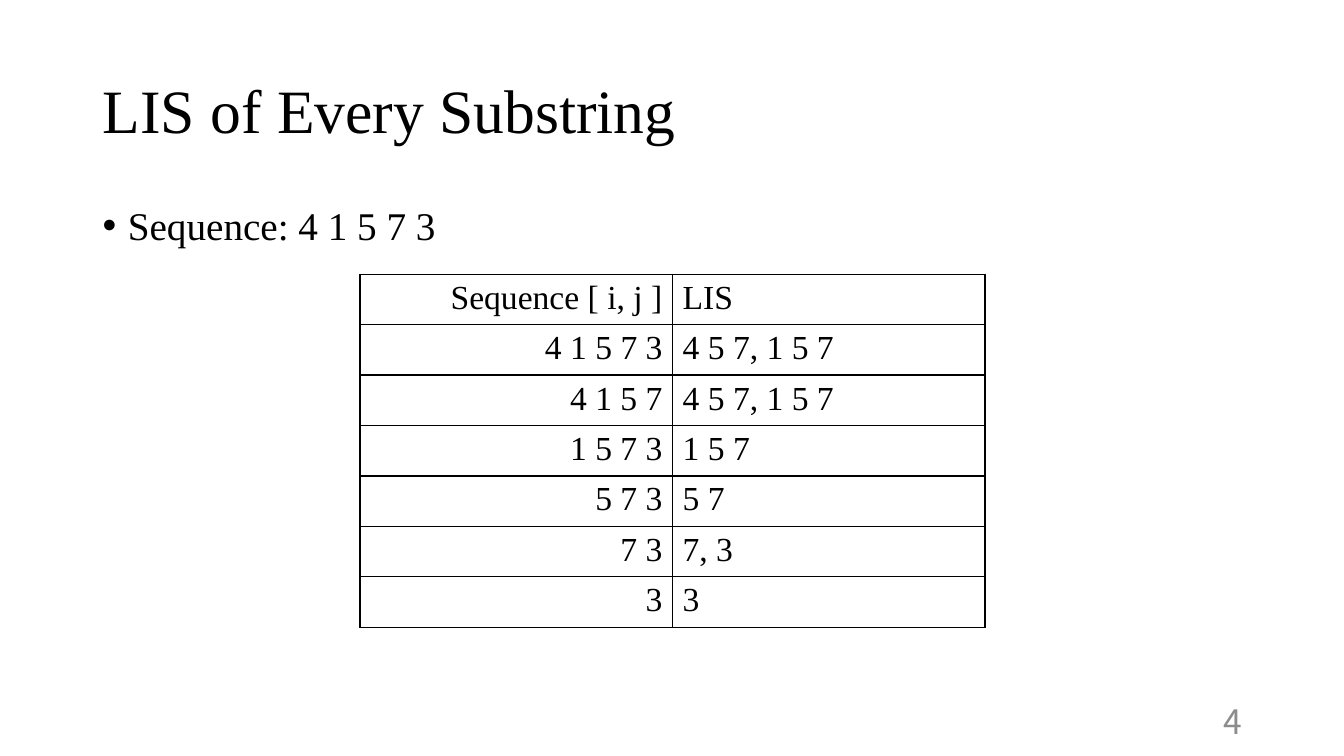
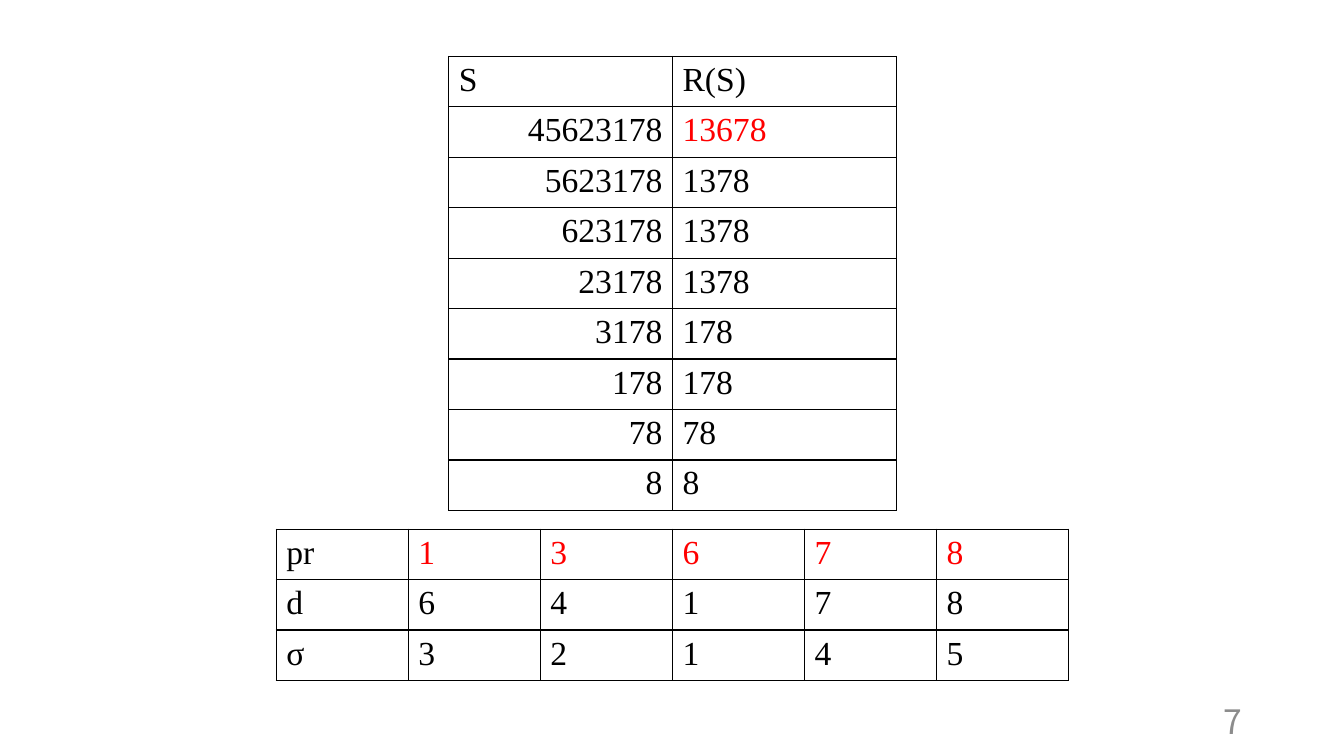
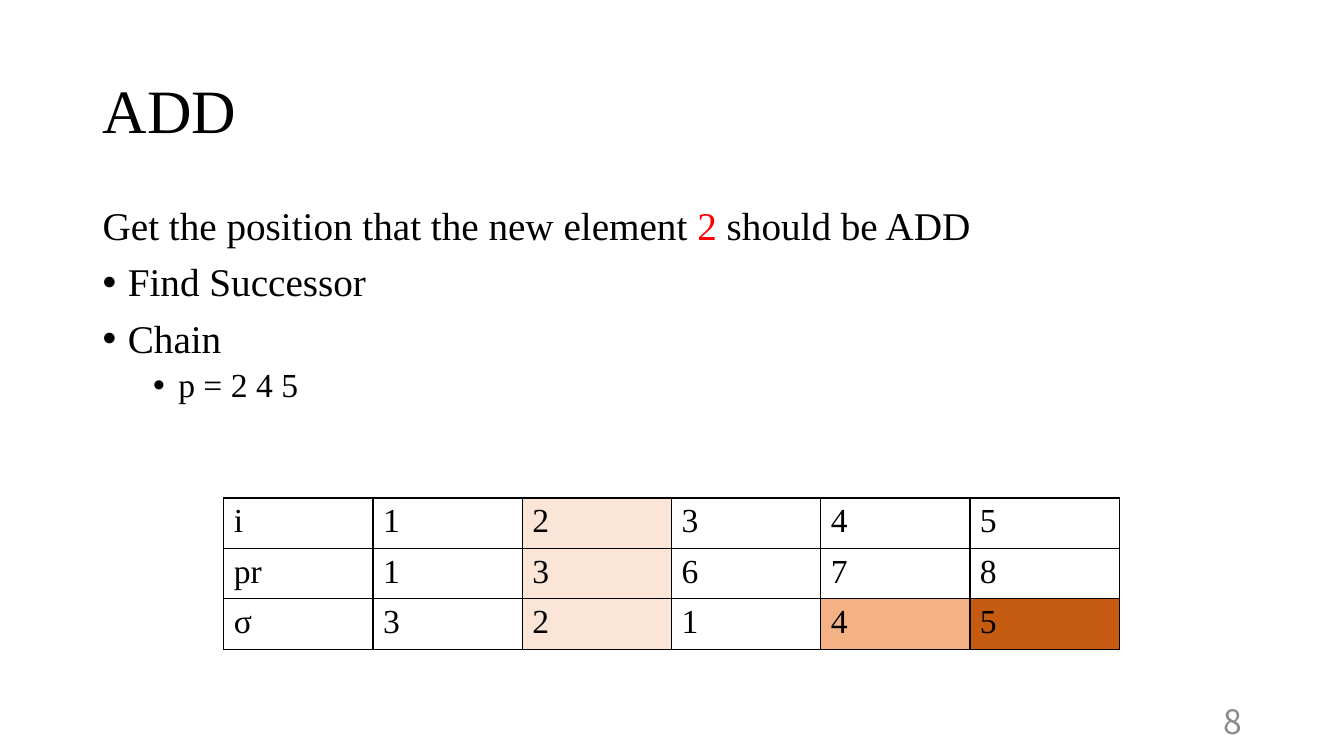
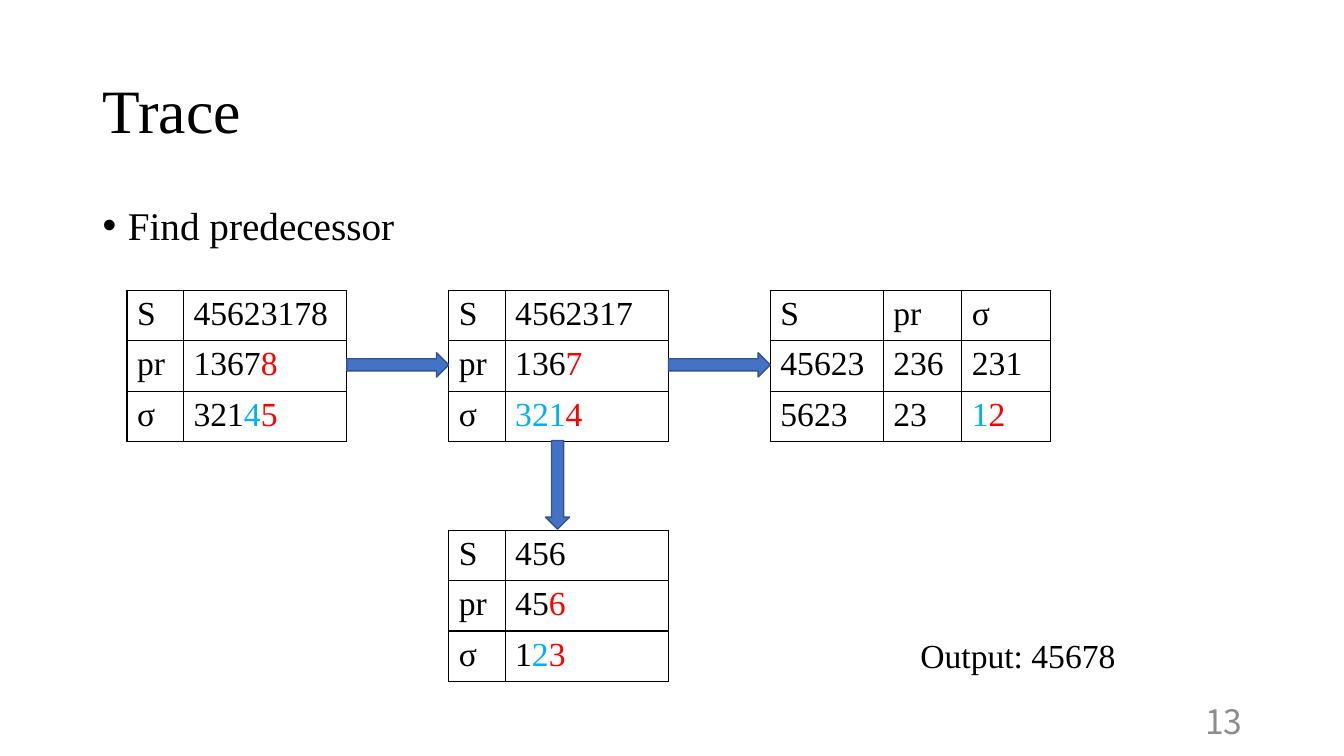
import pptx
import pptx.dml.color
import pptx.enum.shapes
import pptx.enum.text
import pptx.oxml
import pptx.oxml.ns
import pptx.util
from lxml import etree

Inches, Pt = pptx.util.Inches, pptx.util.Pt
ALIGN = pptx.enum.text.PP_ALIGN
ANCHOR = pptx.enum.text.MSO_ANCHOR
qn = pptx.oxml.ns.qn

THEME = {
    "serif": "Times New Roman",
    "sans": "Noto Sans CJK JP",
    "title": 44,
    "body": 28,
    "small": 24,
    "text": "000000",
    "number": "8C8C8C",
    "paper": "FFFFFF",
    "red": "FF0000",
    "sky": "00B0F0",
    "pale": "FBE5D6",
    "peach": "F4B183",
    "rust": "C55A11",
    "arrow": "4472C4",
    "arrow_line": "325491",
}
ROW_HEIGHT = 0.47
TRACE_COLS = [0.56, 1.62]
TRACE_TOP = 2.88
TRACE_LEFT = [1.26, 4.45, 7.64]
TRACE_WIDTH = sum(TRACE_COLS)
ARROW_HEIGHT = 0.24


def red(text):
    return (text, "red")


def sky(text):
    return (text, "sky")


SLIDES = [
    {
        "number": 4,
        "title": "LIS of Every Substring",
        "body": [("bullet", "Sequence: 4 1 5 7 3")],
        "tables": [{
            "at": (3.57, 2.72), "cols": [3.1] * 2, "right_from": 0,
            "rows": [
                ["Sequence [ i, j ]", "LIS"],
                ["4 1 5 7 3", "4 5 7, 1 5 7"],
                ["4 1 5 7", "4 5 7, 1 5 7"],
                ["1 5 7 3", "1 5 7"],
                ["5 7 3", "5 7"],
                ["7 3", "7, 3"],
                ["3", "3"],
            ],
        }],
    },
    {
        "number": 7,
        "tables": [
            {
                "at": (4.45, 0.56), "cols": [2.22] * 2, "right_from": 1,
                "rows": [
                    ["S", "R(S)"],
                    ["45623178", [red("13678")]],
                    ["5623178", "1378"],
                    ["623178", "1378"],
                    ["23178", "1378"],
                    ["3178", "178"],
                    ["178", "178"],
                    ["78", "78"],
                    ["8", "8"],
                ],
            },
            {
                "at": (2.74, 5.25), "cols": [1.31] * 6,
                "rows": [
                    ["pr"] + [[red(n)] for n in "13678"],
                    ["d", *"64178"],
                    ["σ", *"32145"],
                ],
            },
        ],
    },
    {
        "number": 8,
        "title": "ADD",
        "body": [
            ("plain", ["Get the position that the new element ", red("2"), " should be ADD"]),
            ("bullet", "Find Successor"),
            ("bullet", "Chain"),
            ("sub", "p = 2 4 5"),
        ],
        "tables": [{
            "at": (2.22, 4.94), "cols": [1.48] * 6,
            "rows": [["i", *"12345"], ["pr", *"13678"], ["σ", *"32145"]],
            "fills": {(0, 2): "pale", (1, 2): "pale", (2, 2): "pale",
                      (2, 4): "peach", (2, 5): "rust"},
        }],
    },
    {
        "number": 13,
        "title": "Trace",
        "body": [("bullet", "Find predecessor")],
        "tables": [
            {
                "at": (TRACE_LEFT[0], TRACE_TOP), "cols": TRACE_COLS,
                "rows": [
                    ["S", "45623178"],
                    ["pr", ["1367", red("8")]],
                    ["σ", ["321", sky("4"), red("5")]],
                ],
            },
            {
                "at": (TRACE_LEFT[1], TRACE_TOP), "cols": TRACE_COLS,
                "rows": [
                    ["S", "4562317"],
                    ["pr", ["136", red("7")]],
                    ["σ", [sky("321"), red("4")]],
                ],
            },
            {
                "at": (TRACE_LEFT[1], 5.26), "cols": TRACE_COLS,
                "rows": [
                    ["S", "456"],
                    ["pr", ["45", red("6")]],
                    ["σ", ["1", sky("2"), red("3")]],
                ],
            },
            {
                "at": (TRACE_LEFT[2], TRACE_TOP), "cols": [1.12, 0.78, 0.88],
                "rows": [
                    ["S", "pr", "σ"],
                    ["45623", "236", "231"],
                    ["5623", "23", [sky("1"), red("2")]],
                ],
            },
        ],
        "arrows": [
            *((left + TRACE_WIDTH, 3.5, after - left - TRACE_WIDTH, 0)
              for left, after in zip(TRACE_LEFT, TRACE_LEFT[1:])),
            (5.09, 4.69, 0.88, 90),
        ],
        "output": "Output: 45678",
    },
]

LEVELS = {
    "plain": {"size": "body", "before": 10},
    "bullet": {"size": "body", "before": 10, "margin": 0.25},
    "sub": {"size": "small", "before": 5, "margin": 0.75},
}


def rgb(key):
    return pptx.dml.color.RGBColor.from_string(THEME[key])


def put(obj, **values):
    for name, value in values.items():
        setattr(obj, name, value)


def write(p, content, size, font="serif", color="text", **formats):
    put(p, **formats)
    for part in [content] if isinstance(content, str) else content:
        text, key = (part, color) if isinstance(part, str) else part
        r = p.add_run()
        r.text = text
        put(r.font, name=THEME[font], size=Pt(THEME[size]))
        r.font.color.rgb = rgb(key)


def add_box(slide, at, anchor=ANCHOR.TOP):
    tf = slide.shapes.add_textbox(*map(Inches, at)).text_frame
    put(tf, word_wrap=True, vertical_anchor=anchor)
    return tf


def add_bullet(p, margin):
    pPr = p._p.get_or_add_pPr()
    pPr.set("marL", str(Inches(margin)))
    pPr.set("indent", str(Inches(-0.25)))
    etree.SubElement(pPr, qn("a:buFont")).set("typeface", "Arial")
    etree.SubElement(pPr, qn("a:buChar")).set("char", "•")


def add_body(slide, items):
    tf = add_box(slide, (0.92, 2, 11.5, 4.76))
    for i, (kind, content) in enumerate(items):
        level = LEVELS[kind]
        p = tf.add_paragraph() if i else tf.paragraphs[0]
        put(p, line_spacing=0.9, space_before=Pt(level["before"] if i else 0))
        if kind == "sub":
            p.level = 1
        if "margin" in level:
            add_bullet(p, level["margin"])
        write(p, content, level["size"])


def add_borders(cell):
    tcPr = cell._tc.get_or_add_tcPr()
    for side in ("lnL", "lnR", "lnT", "lnB"):
        ln = etree.SubElement(tcPr, qn("a:" + side), w=str(Pt(1)))
        fill = etree.SubElement(ln, qn("a:solidFill"))
        etree.SubElement(fill, qn("a:srgbClr"), val=THEME["text"])


def add_grid(slide, at, cols, rows, right_from=None, fills={}):
    size = (sum(cols), ROW_HEIGHT * len(rows))
    table = slide.shapes.add_table(len(rows), len(cols), *map(Inches, at + size)).table
    put(table, first_row=False, horz_banding=False)
    for column, width in zip(table.columns, cols):
        column.width = Inches(width)
    for i, row in enumerate(rows):
        table.rows[i].height = Inches(ROW_HEIGHT)
        for j, content in enumerate(row):
            cell = table.cell(i, j)
            add_borders(cell)
            if (i, j) in fills:
                cell.fill.solid()
                cell.fill.fore_color.rgb = rgb(fills[i, j])
            else:
                cell.fill.background()
            to_right = right_from is not None and j == 0 and i >= right_from
            write(cell.text_frame.paragraphs[0], content, "small",
                  alignment=ALIGN.RIGHT if to_right else ALIGN.LEFT)


def add_arrow(slide, left, top, length, rotation):
    sp = slide.shapes.add_shape(pptx.enum.shapes.MSO_SHAPE.RIGHT_ARROW,
                                *map(Inches, (left, top, length, ARROW_HEIGHT)))
    sp.rotation = rotation
    sp.shadow.inherit = False
    sp.fill.solid()
    sp.fill.fore_color.rgb = rgb("arrow")
    sp.line.color.rgb = rgb("arrow_line")
    sp.line.width = Pt(1)


def build_slide(prs, content):
    slide = prs.slides.add_slide(prs.slide_layouts[6])
    slide.background.fill.solid()
    slide.background.fill.fore_color.rgb = rgb("paper")
    if "title" in content:
        tf = add_box(slide, (0.92, 0.4, 11.5, 1.45), ANCHOR.MIDDLE)
        write(tf.paragraphs[0], content["title"], "title", line_spacing=0.9)
    if "body" in content:
        add_body(slide, content["body"])
    tf = add_box(slide, (9.42, 6.95, 3, 0.4), ANCHOR.MIDDLE)
    write(tf.paragraphs[0], str(content["number"]), "small", "sans", "number",
          alignment=ALIGN.RIGHT)
    for table in content["tables"]:
        add_grid(slide, **table)
    for arrow in content.get("arrows", []):
        add_arrow(slide, *arrow)
    if "output" in content:
        tf = add_box(slide, (9.03, 6.25, 2.27, 0.5))
        write(tf.paragraphs[0], content["output"], "small")


def main():
    prs = pptx.Presentation()
    put(prs, slide_width=Inches(13.33), slide_height=Inches(7.5))
    for content in SLIDES:
        build_slide(prs, content)
    prs.save("out.pptx")


if __name__ == "__main__":
    main()
